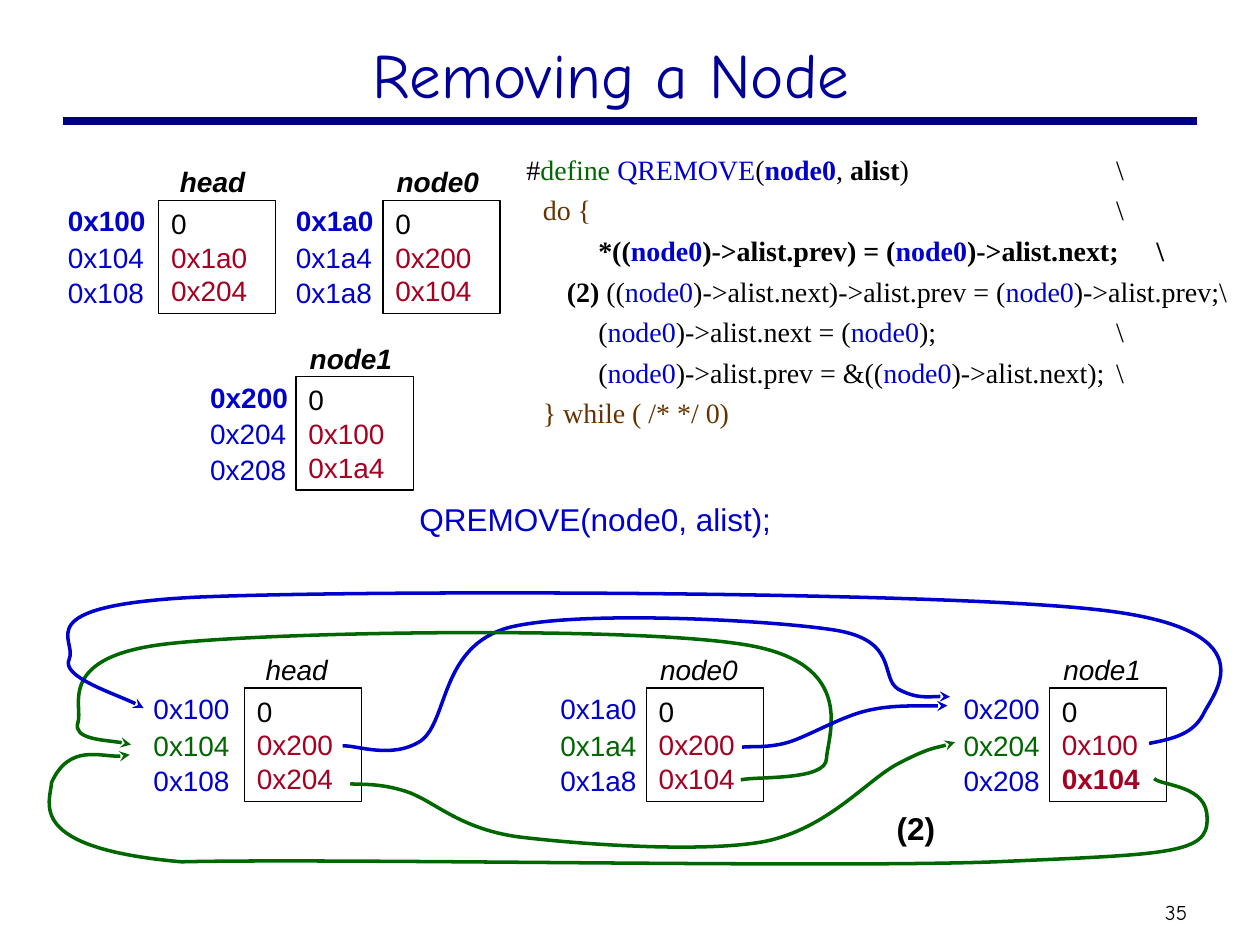
from lxml.etree import SubElement
from pptx import Presentation
from pptx.dml.color import RGBColor
from pptx.enum.shapes import MSO_CONNECTOR, MSO_SHAPE
from pptx.enum.text import MSO_ANCHOR, PP_ALIGN
from pptx.oxml.ns import qn
from pptx.util import Inches, Pt

COLORS = {"black": "000000", "white": "FFFFFF", "navy": "000080", "title": "000099",
          "blue": "0000CC", "green": "006600", "red": "A50021", "brown": "663300"}

# name, (address left, box left, box top), name (offset, width), addresses, values
BEFORE = [
    ("head", (0.44, 1.26, 1.59), (0.07, 0.78),
     ["0x100", "0x104", "0x108"], ["0", "0x1a0", "0x204"]),
    ("node0", (2.25, 3.04, 1.59), (0.01, 0.91),
     ["0x1a0", "0x1a4", "0x1a8"], ["0", "0x200", "0x104"]),
    ("node1", (1.57, 2.35, 2.99), (0.01, 0.85),
     ["0x200", "0x204", "0x208"], ["0", "0x100", "0x1a4"]),
]
AFTER = [
    ("head", (1.12, 1.94, 5.46), (0.07, 0.75),
     ["0x100", "0x104", "0x108"], ["0", "0x200", "0x204"]),
    ("node0", (4.35, 5.13, 5.46), (0.01, 0.88),
     ["0x1a0", "0x1a4", "0x1a8"], ["0", "0x200", "0x104"]),
    ("node1", (7.55, 8.33, 5.46), (0.01, 0.81),
     ["0x200", "0x204", "0x208"], ["0", "0x100", "0x104"]),
]
CHANGED = ("node1", "0x104")  # value shown in bold after the step

# Pointer curves: colour, start point, then cubic segments (two controls and an end)
POINTERS = [
    ("blue", [(2.72, 5.92), (2.82, 5.91), (3.11, 6.03), (3.34, 5.88),
              (3.56, 5.72), (3.49, 5.13), (4.04, 4.98), (4.59, 4.84), (6.11, 4.92), (6.62, 5),
              (7.14, 5.08), (6.98, 5.38), (7.13, 5.47), (7.28, 5.55), (7.45, 5.52), (7.54, 5.53)]),
    ("green", [(5.88, 6.19), (6, 6.16), (6.56, 6.2), (6.56, 6.02),
               (6.57, 5.84), (6.81, 5.27), (5.93, 5.12), (5.06, 4.97), (2.21, 5.01), (1.33, 5.11),
               (0.44, 5.21), (0.66, 5.6), (0.62, 5.73), (0.57, 5.87), (0.95, 5.88), (1.04, 5.91)]),
    ("green", [(9.16, 6.18), (9.23, 6.24), (9.59, 6.23), (9.58, 6.5),
               (9.59, 6.78), (9.26, 6.78), (7.9, 6.84), (6.55, 6.89), (2.69, 6.81), (1.44, 6.84),
               (0.19, 6.73), (0.4, 6.37), (0.41, 6.21), (0.55, 5.9), (0.9, 6.04), (1.03, 5.99)]),
    ("green", [(2.78, 6.22), (2.85, 6.23), (3, 6.21), (3.22, 6.28),
               (3.44, 6.35), (3.63, 6.57), (4.1, 6.64), (4.58, 6.7), (5.56, 6.77), (6.06, 6.68),
               (6.57, 6.58), (6.88, 6.19), (7.13, 6.06), (7.38, 5.93), (7.48, 5.93), (7.58, 5.89)]),
    ("blue", [(9.12, 5.9), (9.33, 5.86), (9.48, 5.82), (9.56, 5.65),
              (9.65, 5.48), (10.06, 4.99), (8.72, 4.84), (7.39, 4.69), (2.91, 4.68), (1.55, 4.74),
              (0.19, 4.81), (0.62, 5.08), (0.55, 5.23), (0.48, 5.37), (1.02, 5.54), (1.14, 5.62)]),
    ("blue", [(5.89, 5.93), (5.95, 5.92), (6.09, 5.94), (6.26, 5.89),
              (6.42, 5.84), (6.67, 5.69), (6.88, 5.64), (7.09, 5.59), (7.39, 5.61), (7.52, 5.6)]),
]

# Macro lines as (text, colour, bold) runs
NODE = ("node0", "blue", False)
NODE_BOLD = ("node0", "blue", True)
CODE_TABS = [0.13, 0.32, 0.57, 2.75, 4.68, 5, 6]
CODE = [
    [("#", "black", False), ("define ", "green", False), ("QREMOVE", "blue", False),
     ("(", "black", False), NODE_BOLD, (", ", "black", False), ("alist", "black", True),
     (")\t\\", "black", False)],
    [("\tdo {\t\t\t", "brown", False), ("\\", "black", False)],
    [("\t\t\t*((", "black", True), NODE_BOLD, (")->alist.prev) = (", "black", True),
     NODE_BOLD, (")->alist.next;\t\\", "black", True)],
    [("\t\t", "black", False), ("(2)", "black", True), (" ((", "black", False), NODE,
     (")->alist.next)->alist.prev = (", "black", False), NODE,
     (")->alist.prev;\\", "black", False)],
    [("\t\t\t(", "black", False), NODE, (")->alist.next = (", "black", False), NODE,
     (");\t\\", "black", False)],
    [("\t\t\t(", "black", False), NODE, (")->alist.prev = &((", "black", False), NODE,
     (")->alist.next);\t\\", "black", False)],
    [("\t} while ( /* */ 0)", "brown", False)],
]


def rgb(name):
    return RGBColor.from_string(COLORS[name])


def style(p, size, color, font="Arial", bold=False, italic=False, align=PP_ALIGN.LEFT):
    p.alignment = align
    f = p.font
    f.name, f.size, f.bold, f.italic = font, Pt(size), bold, italic
    f.color.rgb = rgb(color)


def add_label(shapes, box, text, size, color, insets=(0.1, 0), **kw):
    tf = shapes.add_textbox(*map(Inches, box)).text_frame
    tf.word_wrap = True
    tf.margin_left, tf.margin_right = map(Inches, insets)
    p = tf.paragraphs[0]
    p.text = text
    style(p, size, color, **kw)


def add_framed(box, text, size, color, align):
    tf = s.shapes.add_textbox(*map(Inches, box)).text_frame
    tf.word_wrap = True
    tf.vertical_anchor = MSO_ANCHOR.MIDDLE
    tf.paragraphs[0].text = text
    style(tf.paragraphs[0], size, color, font="Comic Neue", align=align)


def add_rect(shapes, box):
    sp = shapes.add_shape(MSO_SHAPE.RECTANGLE, *map(Inches, box))
    sp.shadow.inherit = False
    sp.text_frame.word_wrap = True
    sp.text_frame.vertical_anchor = MSO_ANCHOR.TOP
    return sp


def add_node(node, after):
    name, (addr_x, x, y), (name_dx, name_w), addresses, values = node
    shapes = s.shapes.add_group_shape().shapes
    sp = add_rect(shapes, (x, y, 0.93, 0.9))
    sp.fill.background()
    sp.line.color.rgb = rgb("black")
    sp.line.width = Pt(0.75)
    tf = sp.text_frame
    for i, (address, value) in enumerate(zip(addresses, values)):
        p = tf.paragraphs[0] if i == 0 else tf.add_paragraph()
        p.text = value
        style(p, 16, "red" if i else "black", bold=after and (name, value) == CHANGED)
        add_label(shapes, (addr_x, y + (-0.02, 0.27, 0.55)[i], 0.8, 0.37), address, 16,
                  "green" if after and i == 1 else "blue", bold=not after and i == 0)
    add_label(shapes, (x + name_dx, y - 0.33, name_w, 0.37), name, 16, "black",
              bold=not after, italic=True)


def add_pointer(color, points):
    start, *rest = [(Inches(x), Inches(y)) for x, y in points]
    builder = s.shapes.build_freeform(*start)
    builder.add_line_segments(rest, close=False)
    sp = builder.convert_to_shape()
    sp.shadow.inherit = False
    sp.fill.background()
    sp.line.color.rgb = rgb(color)
    sp.line.width = Pt(2)
    SubElement(sp.line._get_or_add_ln(), qn("a:tailEnd"), type="stealth")
    # Turn each three vertices into one cubic segment
    outline = next(sp._element.iter(qn("a:path")))
    vertices = outline.findall(qn("a:lnTo"))
    for i in range(0, len(vertices), 3):
        curve = SubElement(outline, qn("a:cubicBezTo"))
        for vertex in vertices[i:i + 3]:
            curve.append(vertex[0])
            outline.remove(vertex)


prs = Presentation()
prs.slide_width, prs.slide_height = Inches(10), Inches(7.5)
s = prs.slides.add_slide(prs.slide_layouts[6])

# Title, rule and page number
rule = s.shapes.add_connector(MSO_CONNECTOR.STRAIGHT, Inches(0.5), Inches(0.96),
                              Inches(9.5), Inches(0.96))
rule.line.color.rgb = rgb("navy")
rule.line.width = Pt(4.5)
SubElement(rule._element.spPr, qn("a:effectLst"))
add_framed((9.1, 7.09, 0.47, 0.3), "35", 12, "black", PP_ALIGN.CENTER)
add_framed((0.6, 0.15, 8.5, 0.86), "Removing a Node", 36, "title", PP_ALIGN.CENTER)

# List after the step, with its pointers
for node in AFTER:
    add_node(node, after=True)
for color, points in POINTERS:
    add_pointer(color, points)

# List before the step
for node in BEFORE:
    add_node(node, after=False)
add_label(s.shapes, (3.23, 3.92, 2.99, 0.4), "QREMOVE(node0, alist);", 18, "blue")

# Macro code
sp = add_rect(s.shapes, (4.08, 1.16, 5.79, 2.44))
sp.fill.solid()
sp.fill.fore_color.rgb = rgb("white")
sp.line.fill.background()
tf = sp.text_frame
for i, runs in enumerate(CODE):
    p = tf.paragraphs[0] if i == 0 else tf.add_paragraph()
    p.space_before = Pt(4 if i else 0)
    tabs = SubElement(p._p.get_or_add_pPr(), qn("a:tabLst"))
    for pos in CODE_TABS:
        SubElement(tabs, qn("a:tab"), pos=str(Inches(pos)), algn="l")
    style(p, 16, "black", font="Times New Roman")
    for text, color, bold in runs:
        r = p.add_run()
        r.text = text
        r.font.bold = bold
        r.font.color.rgb = rgb(color)

# Step mark
add_label(s.shapes, (7.02, 6.37, 0.5, 0.4), "(2)", 18, "black", insets=(0.05, 0.05),
          bold=True, align=PP_ALIGN.CENTER)

prs.save("out.pptx")
